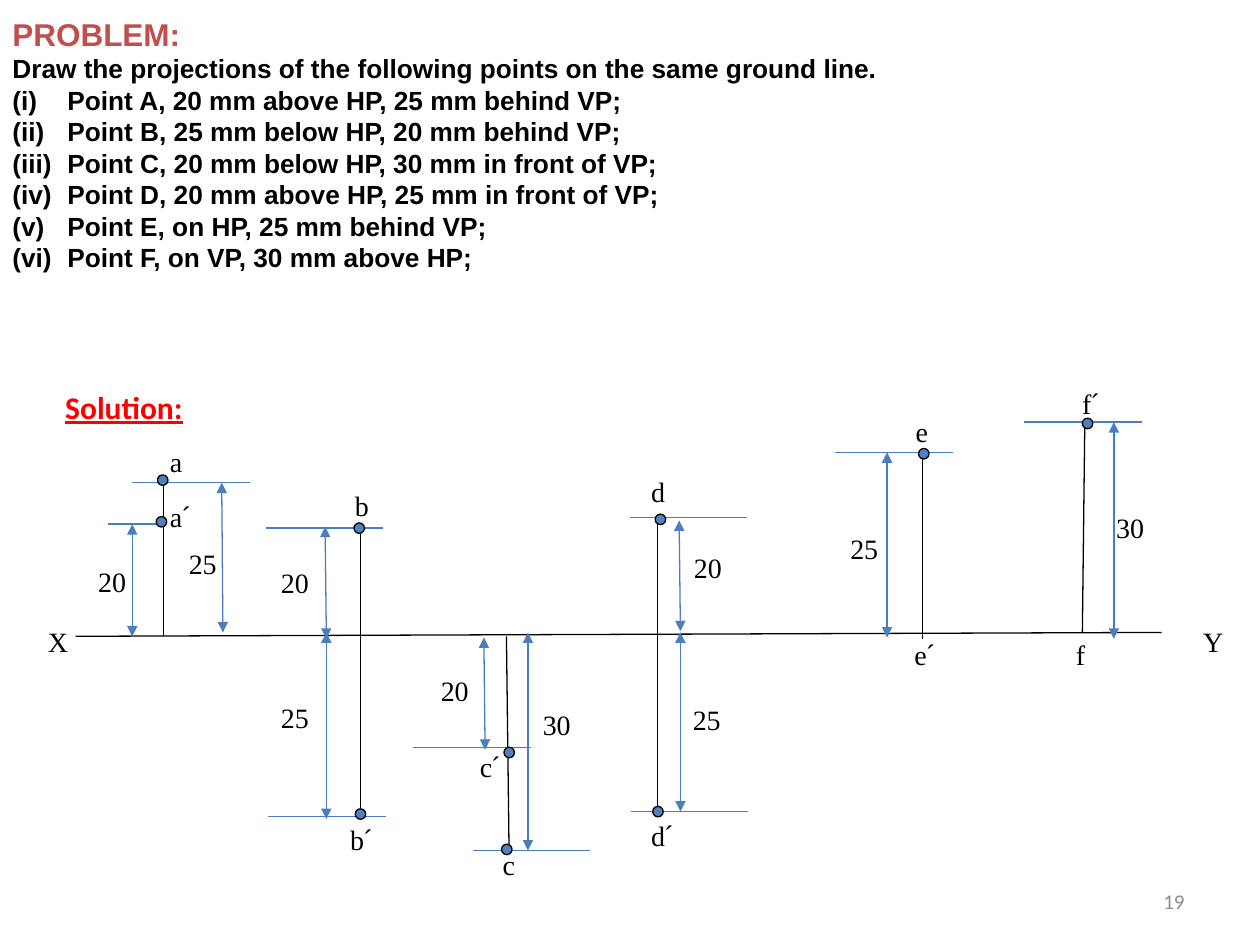
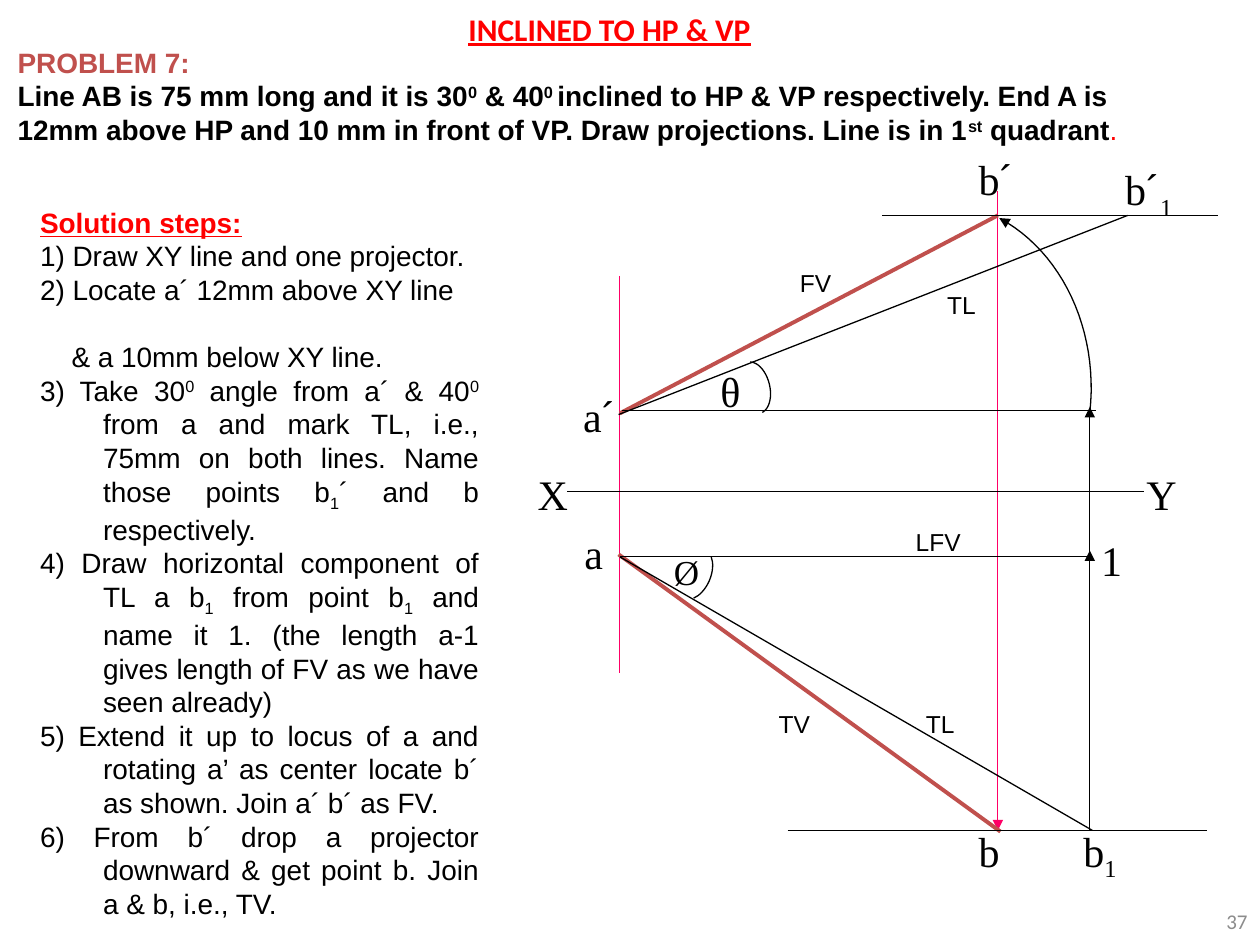
import pptx
import pptx.util
import pptx.dml.color
import pptx.enum.shapes
import pptx.enum.text
import pptx.oxml.ns
import lxml.etree

Pt = pptx.util.Pt
RGB = pptx.dml.color.RGBColor
ALIGN = pptx.enum.text.PP_ALIGN
SHAPE = pptx.enum.shapes.MSO_SHAPE
qn = pptx.oxml.ns.qn

# Shared style
BLACK = RGB(0x00, 0x00, 0x00)
RED = RGB(0xFF, 0x00, 0x00)
BRICK = RGB(0xC0, 0x50, 0x4D)
PINK = RGB(0xFF, 0x00, 0x66)
BLUE_LINE = RGB(0x4B, 0x7E, 0xBC)
BLUE_FILL = RGB(0x4F, 0x81, 0xBD)
GREY = RGB(0x8C, 0x8C, 0x8C)
SANS, SERIF, HEADING = "Arial", "Times New Roman", "Calibri"
THIN, THICK = 0.75, 2.25
BASELINES = {"^": "30000", "_": "-25000"}


# Text
def write(paragraph, marked, size, font=SANS, color=BLACK, bold=False, underline=False):
    """Pieces are split by |; ^ raises a piece and _ lowers it."""
    for piece in marked.split("|"):
        run = paragraph.add_run()
        run.text = piece.lstrip("^_")
        run.font.size = Pt(size)
        run.font.name = SANS if piece == "´" else font
        run.font.color.rgb = color
        run.font.bold = bold
        run.font.underline = underline
        if piece[0] in BASELINES:
            run._r.get_or_add_rPr().set("baseline", BASELINES[piece[0]])


def hang(paragraph, margin, first_line, numbering=None):
    properties = paragraph._p.get_or_add_pPr()
    properties.set("marL", str(Pt(margin)))
    properties.set("indent", str(Pt(first_line)))
    if numbering:
        lxml.etree.SubElement(properties, qn("a:buAutoNum")).set("type", numbering)


def text_frame(slide, box, wrap=True, grow=True):
    frame = slide.shapes.add_textbox(*map(Pt, box)).text_frame
    frame.word_wrap = wrap
    if grow:
        frame.auto_size = pptx.enum.text.MSO_AUTO_SIZE.SHAPE_TO_FIT_TEXT
    return frame


def label(slide, box, marked, size, font=SERIF, wrap=False, **style):
    write(text_frame(slide, box, wrap).paragraphs[0], marked, size, font, **style)


def page_number(slide, box, number):
    frame = text_frame(slide, box, grow=False)
    frame.vertical_anchor = pptx.enum.text.MSO_ANCHOR.MIDDLE
    frame.paragraphs[0].alignment = ALIGN.RIGHT
    write(frame.paragraphs[0], number, 12, HEADING, GREY)


# Lines
def stroke(shape, color, width=THIN, ends=()):
    shape.line.color.rgb = color
    shape.line.width = Pt(width)
    for end in ends:
        outline = shape._element.spPr.find(qn("a:ln"))
        lxml.etree.SubElement(outline, qn(f"a:{end}End")).set("type", "triangle")


def line(slide, origin, points, color=BLACK, width=THIN, ends=()):
    left, top = origin[:2]
    x1, y1, x2, y2 = points
    connector = slide.shapes.add_connector(
        pptx.enum.shapes.MSO_CONNECTOR.STRAIGHT,
        Pt(left + x1), Pt(top + y1), Pt(left + x2), Pt(top + y2))
    stroke(connector, color, width, ends)
    lxml.etree.SubElement(connector._element.spPr, qn("a:effectLst"))


# Slide 1: the six points
def points_problem(slide, box):
    frame = text_frame(slide, box)
    write(frame.paragraphs[0], "PROBLEM:", 18, color=BRICK, bold=True)
    write(frame.add_paragraph(),
          "Draw the projections of the following points on the same ground line.",
          15, bold=True)
    for point in ("Point A, 20 mm above HP, 25 mm behind VP;",
                  "Point B, 25 mm below HP, 20 mm behind VP;",
                  "Point C, 20 mm below HP, 30 mm in front of VP;",
                  "Point D, 20 mm above HP, 25 mm in front of VP;",
                  "Point E, on HP, 25 mm behind VP;",
                  "Point F, on VP, 30 mm above HP;"):
        paragraph = frame.add_paragraph()
        hang(paragraph, 31.5, -31.5, "romanLcParenBoth")
        write(paragraph, point, 15, bold=True)


def points_drawing(slide, box):
    left, top = box[:2]

    # Ground line, then projectors A to F
    for projector in ((23.2, 147.6, 643.8, 145.4),
                      (73.6, 147.6, 73.6, 59.8), (185.9, 250.6, 185.9, 85),
                      (270.9, 270, 269.4, 147.6), (355.8, 247, 355.8, 81.4),
                      (507, 149, 507, 42.5), (598.5, 145.4, 599.9, 25.9)):
        line(slide, box, projector)

    # Extension lines: left, height, length
    for x, y, length in ((41.9, 83.5, 33), (55.6, 59.8, 67), (133.4, 250.6, 67),
                         (131.9, 85.7, 67), (216.2, 211, 67), (250, 270, 67),
                         (340, 79.9, 67), (340.7, 247.7, 67), (457.4, 42.5, 67),
                         (565.4, 25.2, 67)):
        line(slide, box, (x + length, y, x, y), BLUE_LINE)

    # Dimension arrows and their values in mm
    for arrow, value, x, y in (
            ((55.6, 147.6, 55.6, 83.5), "20", 29, 103),
            ((107.4, 145.4, 106.7, 59.8), "25", 80.8, 92.9),
            ((166.5, 252, 166.5, 145.4), "25", 133.4, 180.7),
            ((166.5, 149, 165.8, 85), "20", 133.4, 103.7),
            ((281.7, 270, 281.7, 145.4), "30", 283.1, 185),
            ((257.2, 212.4, 256.5, 148.3), "20", 224.8, 165.6),
            ((368.8, 144.7, 368.1, 81.4), "20", 369.5, 95),
            ((368.8, 247.7, 368.8, 145.4), "25", 368.8, 182.2),
            ((486.9, 148.3, 486.9, 42.5), "25", 458.8, 84.2),
            ((616.5, 149, 616.5, 25.2), "30", 610.7, 72)):
        line(slide, box, arrow, BLUE_LINE, ends=("head", "tail"))
        label(slide, (left + x, top + y, 39, 26.6), value, 16, wrap=True)

    # Point names
    for name, x, y in (("X", 0.2, 137.5), ("Y", 660.4, 137.5),
                       ("a", 70, 34.6), ("a|´", 70, 66.2),
                       ("b", 175.8, 59.8), ("b|´", 173, 250.6),
                       ("c", 260.1, 265), ("c|´", 247.1, 208.8),
                       ("d", 345, 51.8), ("d|´", 345, 248.4),
                       ("e", 496.2, 17.3), ("e|´", 495.5, 144.7),
                       ("f", 587.7, 144.7), ("f|´", 591.3, 1.4)):
        width = 28 if "´" in name else 26 if name in "XY" else 22
        label(slide, (left + x, top + y, width, 26.6), name, 16)

    # Point markers
    for x, y in ((69.3, 79.2), (70, 55.4), (182.3, 82.8), (183, 246.2), (268, 211),
                 (266.6, 266.4), (354.4, 77.8), (353, 244.8), (504.9, 40.3),
                 (598.5, 23)):
        marker = slide.shapes.add_shape(SHAPE.OVAL, Pt(left + x), Pt(top + y), Pt(6), Pt(6))
        marker.shadow.inherit = False
        marker.fill.solid()
        marker.fill.fore_color.rgb = BLUE_FILL
        stroke(marker, BLACK)


# Slide 2: the inclined line
def inclined_problem(slide, box):
    frame = text_frame(slide, box)
    write(frame.paragraphs[0], "PROBLEM 7:", 16, color=BRICK, bold=True)
    question = frame.add_paragraph()
    write(question, "Line AB is 75 mm long and it is 30|^0| & 40|^0 |inclined to HP & VP "
          "respectively. End A is 12mm above HP and 10 mm in front of VP. Draw "
          "projections. Line is in 1|^st| quadrant", 16, bold=True)
    write(question, ".", 16, color=RED)


def solution_steps(slide, box):
    frame = text_frame(slide, box)
    hang(frame.paragraphs[0], 36, -36)
    write(frame.paragraphs[0], "Solution steps:", 16, color=RED, bold=True, underline=True)
    for step in ("1) Draw XY line and one projector.",
                 "2) Locate a´ 12mm above XY line",
                 "& a 10mm below XY line.",
                 "3) Take 30|^0| angle from a´ & 40|^0| from a and mark TL, i.e., 75mm on "
                 "both lines. Name those points b|_1|´ and b respectively.",
                 "4) Draw horizontal component of TL a b|_1| from point b|_1| and name it 1. "
                 "(the length a-1 gives length of FV as we have seen already)",
                 "5) Extend it up to locus of a and rotating a’ as center locate b´ as "
                 "shown. Join a´ b´ as FV.",
                 "6) From b´ drop a projector downward & get point b. Join a & b, i.e., TV."):
        paragraph = frame.add_paragraph()
        paragraph.alignment = ALIGN.JUSTIFY
        continues = step.startswith("&")
        hang(paragraph, 36, -18 if continues else -36)
        if continues:
            paragraph.space_before = Pt(19.2)
        write(paragraph, step, 16)


def angle_mark(slide, box, rotation, half_sweep):
    mark = slide.shapes.add_shape(SHAPE.ARC, *map(Pt, box))
    mark.shadow.inherit = False
    mark.rotation = rotation
    # Arc adjustments count 0.6 per degree
    mark.adjustments[0] = 0.6 * (360 - half_sweep)
    mark.adjustments[1] = 0.6 * half_sweep
    mark.fill.background()
    stroke(mark, BLACK)


def swing_arc(slide, origin, controls, steps=24):
    """Draws a cubic curve through its four control points."""
    curve = []
    for step in range(steps + 1):
        t = step / steps
        weights = ((1 - t) ** 3, 3 * t * (1 - t) ** 2, 3 * t * t * (1 - t), t ** 3)
        curve.append(tuple(Pt(start + sum(w * c[axis] for w, c in zip(weights, controls)))
                           for axis, start in enumerate(origin[:2])))
    builder = slide.shapes.build_freeform(*curve[0])
    builder.add_line_segments(curve[1:], close=False)
    swing = builder.convert_to_shape()
    swing.shadow.inherit = False
    swing.fill.background()
    stroke(swing, BLACK, ends=("head",))


def inclined_drawing(slide, box):
    left, top = box[:2]

    # Angles θ and Ø
    angle_mark(slide, (left + 121.9, top + 122.6, 18, 30), 346.4, 85)
    angle_mark(slide, (left + 88.1, top + 229.2, 18, 30), 23, 70)

    # Projectors and projections
    line(slide, box, (54.2, 73.7, 54.2, 300.5), PINK)
    line(slide, box, (270.2, 25.4, 270.2, 390.5), PINK, ends=("tail",))
    line(slide, box, (54.2, 152.2, 270.2, 39.1), BRICK, THICK)
    line(slide, box, (53.5, 232.8, 271.7, 391.2), BRICK, THICK)
    swing_arc(slide, box, ((271, 40.6), (307, 60), (327.8, 104.6), (322.8, 151.4)))

    # XY line, horizontals through a´ and a, true lengths, loci of b and b´
    for construction in ((24, 196.8, 353.8, 196.8), (55.7, 150.7, 326.4, 150.7),
                         (54.2, 234.2, 324.2, 234.2), (54.2, 234.2, 324.2, 390.5),
                         (53.5, 152.9, 344.4, 39.1), (150, 390.5, 389.8, 390.5),
                         (204, 39.1, 396.2, 39.1)):
        line(slide, box, construction)
    for y1, y2 in ((230.6, 390.5), (148.6, 237.1)):
        line(slide, box, (322.8, y1, 322.8, y2), ends=("head",))

    # Point and angle names
    for name, x, y, width, size in (
            ("a|´", 26.2, 135.6, 36, 24), ("b|´", 252.2, 0.2, 38, 24),
            ("a", 26.9, 214, 28, 24), ("b", 252.2, 384, 30, 24),
            ("X", 0.2, 180.2, 36, 24), ("Y", 348, 180.2, 36, 24),
            ("b|´|_1", 335.8, 6, 48, 24), ("b|_1", 312, 384, 38, 24),
            ("1", 322.1, 217.7, 30, 24), ("θ", 104.6, 121.2, 30, 24),
            ("Ø", 78, 227, 32, 20)):
        label(slide, (left + x, top + y, width, 36), name, size)

    # View captions, each box wide enough for one line
    for caption, x, y in (("LFV", 216.2, 213.4), ("TL", 234.2, 78), ("TL", 222, 317.8),
                          ("FV", 150, 65.8), ("TV", 137.8, 317.8)):
        width = 20 + 10 * len(caption)
        label(slide, (left + x, top + y, width, 24), caption, 14, SANS)


def main():
    deck = pptx.Presentation()
    deck.slide_width, deck.slide_height = Pt(720), Pt(540)
    blank = deck.slide_layouts[6]
    heading = dict(size=18, font=HEADING, color=RED, bold=True, underline=True)

    points = deck.slides.add_slide(blank)
    points_problem(points, (0, 5, 720, 156))
    points_drawing(points, (20, 216, 688, 295))
    label(points, (30.2, 218.2, 82, 29), "Solution:", **heading)
    page_number(points, (516, 500.4, 168, 29), "19")

    inclined = deck.slides.add_slide(blank)
    inclined_drawing(inclined, (300, 84, 396, 420))
    inclined_problem(inclined, (3, 22.3, 687, 65.5))
    solution_steps(inclined, (15.8, 113.8, 265, 395))
    label(inclined, (260.6, 2.2, 190, 29), "INCLINED TO HP & VP", wrap=True, **heading)
    page_number(inclined, (558, 512, 162, 29), "37")

    deck.save("out.pptx")


if __name__ == "__main__":
    main()
